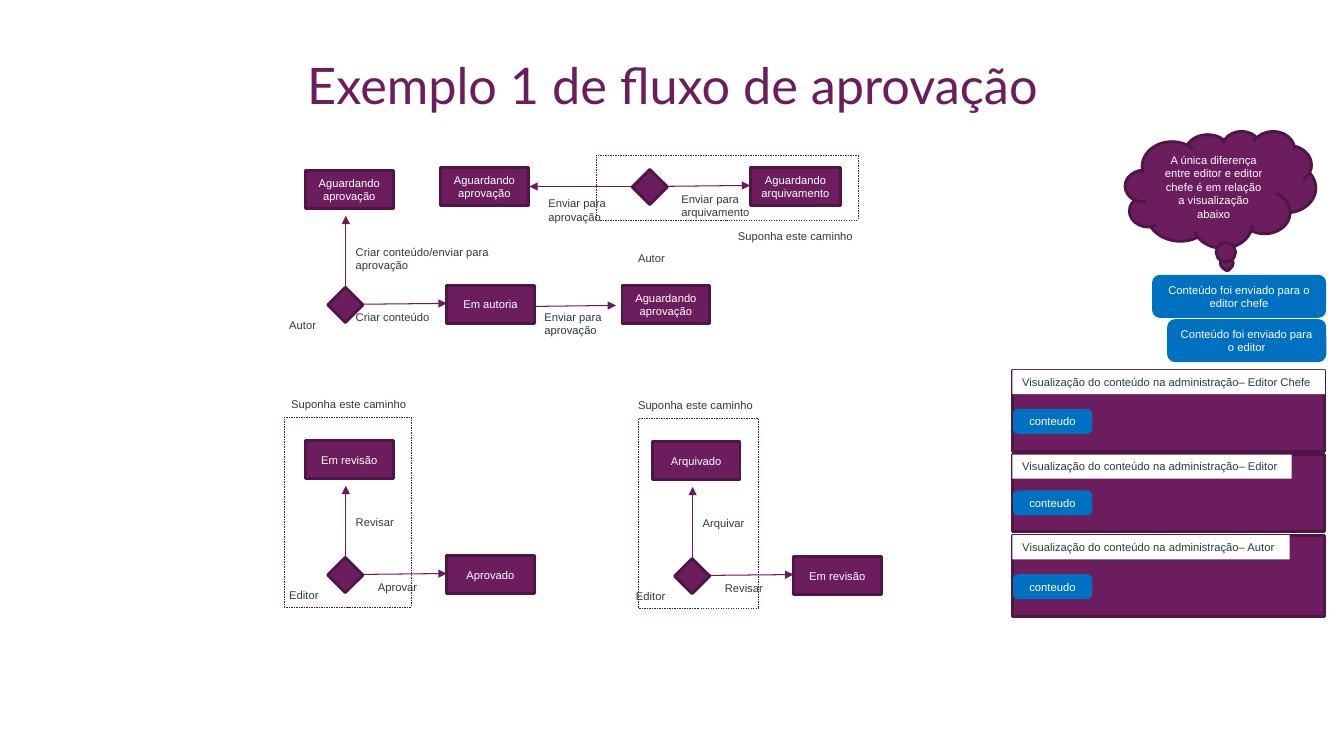
"""Build the slide showing an example of a content approval workflow."""
from dataclasses import dataclass

import pptx
import pptx.dml.color
import pptx.enum.dml
import pptx.enum.shapes
import pptx.enum.text
import pptx.oxml.ns
import pptx.util
from lxml import etree
from pptx.util import Inches


@dataclass(frozen=True)
class Theme:
    plum: str = "6B1D5D"
    plum_edge: str = "4F1545"
    arrow: str = "6B1A5C"
    blue: str = "0070C0"
    white: str = "FFFFFF"
    ink: str = "2B3A3C"
    body_font: str = "Arial"
    title_font: str = "Lato"
    body_size: int = 8
    title_size: int = 36


theme = Theme()
rgb = pptx.dml.color.RGBColor.from_string
Shape = pptx.enum.shapes.MSO_SHAPE
Align = pptx.enum.text.PP_ALIGN
Anchor = pptx.enum.text.MSO_ANCHOR

deck = pptx.Presentation()
deck.slide_width = Inches(13.33)
deck.slide_height = Inches(7.5)
slide = deck.slides.add_slide(deck.slide_layouts[6])


def write(shape, text, *, color=theme.ink, size=theme.body_size, font=theme.body_font,
          align=Align.LEFT, anchor=Anchor.TOP, wrap=False, spacing=None):
    """Put formatted text in a shape, one paragraph a line."""
    frame = shape.text_frame
    frame.word_wrap = wrap
    frame.vertical_anchor = anchor
    if not wrap:
        frame.auto_size = pptx.enum.text.MSO_AUTO_SIZE.SHAPE_TO_FIT_TEXT
    frame.text = text
    for paragraph in frame.paragraphs:
        paragraph.alignment = align
        paragraph.line_spacing = spacing
        paragraph.font.size = pptx.util.Pt(size)
        paragraph.font.name = font
        paragraph.font.color.rgb = rgb(color)


def draw(kind, place, text="", fill=theme.plum, edge=theme.plum_edge):
    """Draw a filled shape with centred white text."""
    shape = slide.shapes.add_shape(kind, *map(Inches, place))
    shape.shadow.inherit = False
    if fill:
        shape.fill.solid()
        shape.fill.fore_color.rgb = rgb(fill)
    else:
        shape.fill.background()
    if edge:
        shape.line.color.rgb = rgb(edge)
        shape.line.width = pptx.util.Pt(2)
    else:
        shape.line.fill.background()
    if text:
        write(shape, text, color=theme.white, align=Align.CENTER, anchor=Anchor.MIDDLE, wrap=True)
    return shape


box_width, box_height, diamond_side = 0.87, 0.38, 0.35

arrows = [(5.3, 3.04, 6.11, 3.03), (6.45, 1.85, 7.44, 1.84), (6.35, 1.85, 5.25, 1.85)]
states = [
    (6.17, 2.83, box_width, "Aguardando aprovação"),
    (7.44, 1.66, 0.9, "Aguardando arquivamento"),
    (4.37, 1.66, box_width, "Aguardando aprovação"),
]
decisions = [(6.27, 1.68)]
frames = [(5.91, 1.54, 2.6, 0.64)]
labels = [
    (5.3, 3.03, 0.81, "Enviar para\naprovação"),
    (6.66, 1.86, 0.89, "Enviar para\narquivamento"),
    (5.34, 1.9, 0.81, "Enviar para\naprovação"),
    (6.23, 2.44, 0.47, "Autor"),
    (7.22, 2.23, 1.36, "Suponha este caminho"),
]

branches = [
    (3.43, 3.02, ("Autor", 0.47), "Aguardando aprovação",
     ("Criar conteúdo/enviar para\naprovação", 1.57), "Em autoria", ("Criar conteúdo", 0, 0.94)),
    (3.43, 5.7, ("Editor", 0.5), "Em revisão",
     ("Revisar", 0.58), "Aprovado", ("Aprovar", 0.22, 0.6)),
    (6.87, 5.71, ("Editor", 0.5), "Arquivado",
     ("Arquivar", 0.62), "Em revisão", ("Revisar", 0.22, 0.58)),
]
for x, y, (role, role_width), upper, (rise, rise_width), right, (step, shift, step_width) in branches:
    arrows += [(x, y, x + 1, y - 0.01), (x, y - 0.14, x, y - 0.88)]
    states += [(x - 0.4, y - 1.33, box_width, upper), (x + 1, y - 0.19, box_width, right)]
    decisions.append((x - 0.18, y - 0.17))
    labels += [
        (x - 0.66, y + 0.09, role_width, role),
        (x, y - 0.64, rise_width, rise),
        (x + shift, y + 0.01, step_width, step),
    ]

for x, y, offset, width in [(3.43, 5.7, 0.61, 1.26), (6.87, 5.71, 0.54, 1.19)]:
    frames.append((x - offset, y - 1.56, width, 1.88))
    labels.append((x - 0.64, y - 1.81, 1.36, "Suponha este caminho"))

for ends in arrows:
    arrow = slide.shapes.add_connector(pptx.enum.shapes.MSO_CONNECTOR.STRAIGHT, *map(Inches, ends))
    arrow.line.color.rgb = rgb(theme.arrow)
    arrow.line.width = pptx.util.Pt(0.75)
    head = etree.SubElement(arrow.line._get_or_add_ln(), pptx.oxml.ns.qn("a:tailEnd"))
    head.set("type", "triangle")
    etree.SubElement(arrow._element.spPr, pptx.oxml.ns.qn("a:effectLst"))

for left, top, width, state in states:
    draw(Shape.RECTANGLE, (left, top, width, box_height), state)

for left, top in decisions:
    draw(Shape.DIAMOND, (left, top, diamond_side, diamond_side))

for place in frames:
    path_frame = draw(Shape.RECTANGLE, place, fill=None)
    path_frame.line.width = pptx.util.Pt(0.25)
    path_frame.line.dash_style = pptx.enum.dml.MSO_LINE.DASH

for left, top, width, words in labels:
    height = 0.37 if "\n" in words else 0.24
    write(slide.shapes.add_textbox(*map(Inches, (left, top, width, height))), words)

for left, top, width, notice in [
    (11.59, 3.18, 1.55, "Conteúdo foi enviado para o editor"),
    (11.44, 2.74, 1.7, "Conteúdo foi enviado para o editor chefe"),
]:
    draw(Shape.ROUNDED_RECTANGLE, (left, top, width, 0.4), notice, theme.blue, theme.blue)

for top, height, header_width, content_top, viewer in [
    (5.31, 0.81, 2.75, 5.71, "Autor"),
    (4.51, 0.76, 2.77, 4.88, "Editor"),
    (3.67, 0.81, 3.1, 4.07, "Editor Chefe"),
]:
    draw(Shape.RECTANGLE, (10.04, top, 3.1, height))
    header = draw(Shape.RECTANGLE, (10.04, top, header_width, 0.24), fill=theme.white, edge=None)
    write(header, f"Visualização do conteúdo na administração– {viewer}")
    draw(Shape.ROUNDED_RECTANGLE, (10.06, content_top, 0.76, 0.22), "conteudo", theme.blue, theme.blue)

remark = draw(Shape.CLOUD_CALLOUT, (11.16, 1.3, 1.89, 1.16),
              "A única diferença entre editor e editor chefe é em relação a visualização abaixo")
remark.adjustments[0] = 0.035
remark.adjustments[1] = 0.667

title = slide.shapes.add_textbox(*map(Inches, (0.92, 0.56, 11.5, 1.45)))
write(title, "Exemplo 1 de fluxo de aprovação", color=theme.plum, size=theme.title_size,
      font=theme.title_font, align=Align.CENTER, wrap=True, spacing=0.9)

deck.save("out.pptx")
